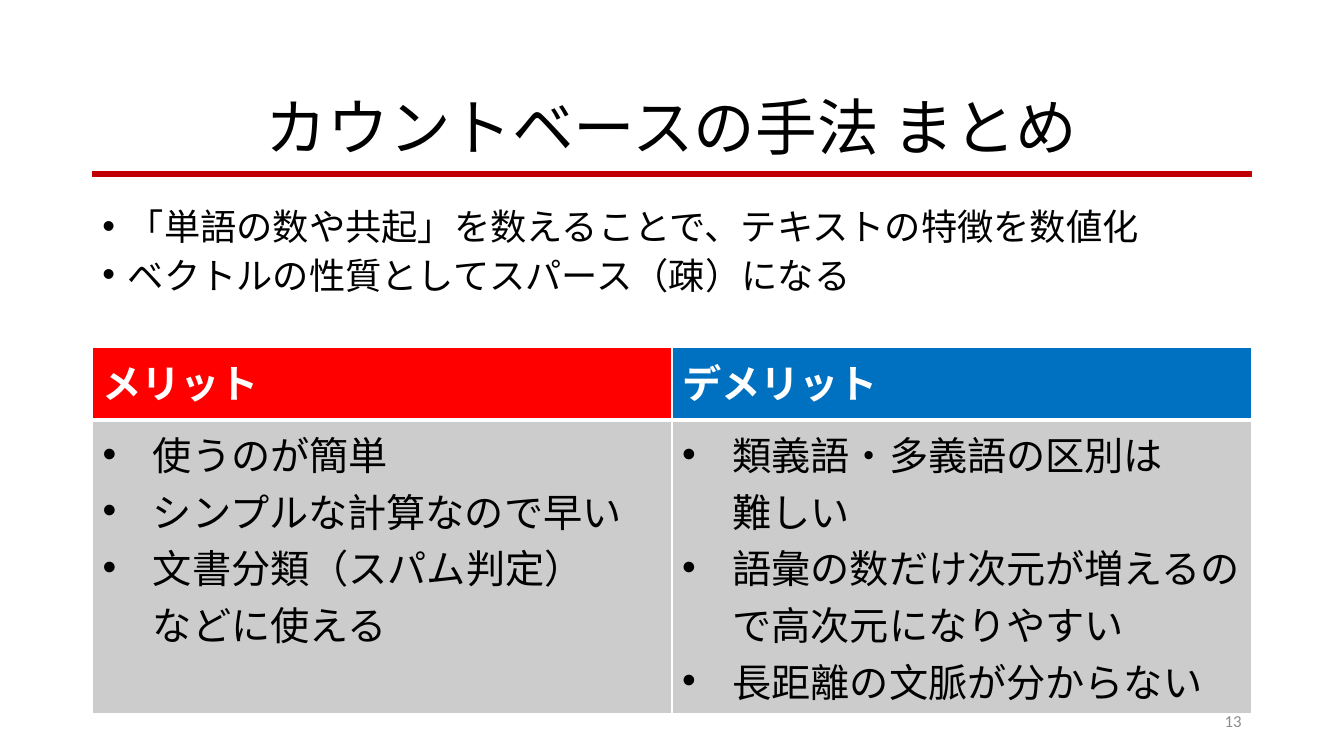
from lxml import etree
from pptx import Presentation
from pptx.dml.color import RGBColor
from pptx.enum.shapes import MSO_SHAPE
from pptx.enum.text import MSO_ANCHOR as ANCHOR, PP_ALIGN as ALIGN
from pptx.oxml.ns import qn
from pptx.util import Cm, Pt

LEFT, WIDTH = 2.33, 29.21
FONT = "Calibri"


def rgb(hex_code):
    return RGBColor.from_string(hex_code)


def add_run(p, text, size, color, bold=False):
    """Add text to p, breaking the line at each newline."""
    for i, line in enumerate(text.split("\n")):
        if i:
            p.add_line_break()
        r = p.add_run()
        r.text = line
        r.font.name = FONT
        r.font.size = Pt(size)
        r.font.bold = bold
        r.font.color.rgb = rgb(color)


def add_bullet(p, indent):
    pPr = p._p.get_or_add_pPr()
    pPr.set("marL", str(Cm(indent)))
    pPr.set("indent", str(-Cm(indent)))
    etree.SubElement(pPr, qn("a:buFont"), typeface="Arial")
    etree.SubElement(pPr, qn("a:buChar"), char="•")


def fill_bullets(tf, items, size, indent, line_spacing=None, gap=0):
    for i, item in enumerate(items):
        p = tf.paragraphs[0] if i == 0 else tf.add_paragraph()
        add_bullet(p, indent)
        p.line_spacing = line_spacing
        if i and gap:
            p.space_before = Pt(gap)
        add_run(p, item, size, "000000")


def add_text_frame(s, x, y, w, h, anchor=ANCHOR.TOP):
    tf = s.shapes.add_textbox(Cm(x), Cm(y), Cm(w), Cm(h)).text_frame
    tf.word_wrap = True
    tf.vertical_anchor = anchor
    return tf


def add_title(s, x, y, w, h, text):
    """Place the centred title with the red rule near its lower edge."""
    rule = s.shapes.add_shape(MSO_SHAPE.RECTANGLE, Cm(x), Cm(y + 2.62), Cm(w), Cm(0.13))
    rule.shadow.inherit = False
    rule.fill.solid()
    rule.fill.fore_color.rgb = rgb("C00000")
    rule.line.color.rgb = rgb("C00000")
    rule.line.width = Pt(1)
    p = add_text_frame(s, x, y, w, h, ANCHOR.MIDDLE).paragraphs[0]
    p.alignment = ALIGN.CENTER
    p.line_spacing = 0.9
    add_run(p, text, 44, "000000")


def add_summary(s, x, y, w, h, items):
    fill_bullets(add_text_frame(s, x, y, w, h), items, 25.9, 0.64, 0.8, 10)


def add_page_number(s, x, y, w, h, number):
    p = add_text_frame(s, x, y, w, h, ANCHOR.MIDDLE).paragraphs[0]
    p.alignment = ALIGN.RIGHT
    add_run(p, number, 12, "8C8C8C")


def style_cell(cell, fill, bottom):
    """Give the cell white borders, the bottom one in its own width, and a fill."""
    tcPr = cell._tc.get_or_add_tcPr()
    for side, width in (("L", 1), ("R", 1), ("T", 1), ("B", bottom)):
        ln = etree.SubElement(tcPr, qn(f"a:ln{side}"), w=str(Pt(width)))
        solid = etree.SubElement(ln, qn("a:solidFill"))
        etree.SubElement(solid, qn("a:srgbClr"), val="FFFFFF")
    cell.fill.solid()
    cell.fill.fore_color.rgb = rgb(fill)


def add_comparison(s, x, y, w, row_heights, columns):
    """Place a table with a heading and a bulleted cell for each column."""
    table = s.shapes.add_table(2, len(columns), Cm(x), Cm(y), Cm(w),
                               Cm(sum(row_heights))).table
    for row, height in zip(table.rows, row_heights):
        row.height = Cm(height)
    for i, (heading, color, items) in enumerate(columns):
        table.columns[i].width = Cm(w / len(columns))
        head, body = table.cell(0, i), table.cell(1, i)
        style_cell(head, color, 3)
        style_cell(body, "CCCCCC", 1)
        add_run(head.text_frame.paragraphs[0], heading, 28, "FFFFFF", True)
        fill_bullets(body.text_frame, items, 28, 1.27)


def main():
    prs = Presentation()
    prs.slide_width, prs.slide_height = Cm(33.87), Cm(19.05)
    s = prs.slides.add_slide(prs.slide_layouts[6])
    add_title(s, LEFT, 1.7, WIDTH, 3.18, "カウントベースの手法 まとめ")
    add_summary(s, LEFT, 5.23, WIDTH, 2.51, [
        "「単語の数や共起」を数えることで、テキストの特徴を数値化",
        "ベクトルの性質としてスパース（疎）になる",
    ])
    add_page_number(s, LEFT + WIDTH - 7.62, 17.65, 7.62, 1.02, "13")
    add_comparison(s, LEFT, 8.76, WIDTH, (1.83, 7.39), [
        ("メリット", "FF0000", [
            "使うのが簡単",
            "シンプルな計算なので早い",
            "文書分類（スパム判定）\nなどに使える",
        ]),
        ("デメリット", "0070C0", [
            "類義語・多義語の区別は\n難しい",
            "語彙の数だけ次元が増えるので高次元になりやすい",
            "長距離の文脈が分からない",
        ]),
    ])
    prs.save("out.pptx")


if __name__ == "__main__":
    main()
